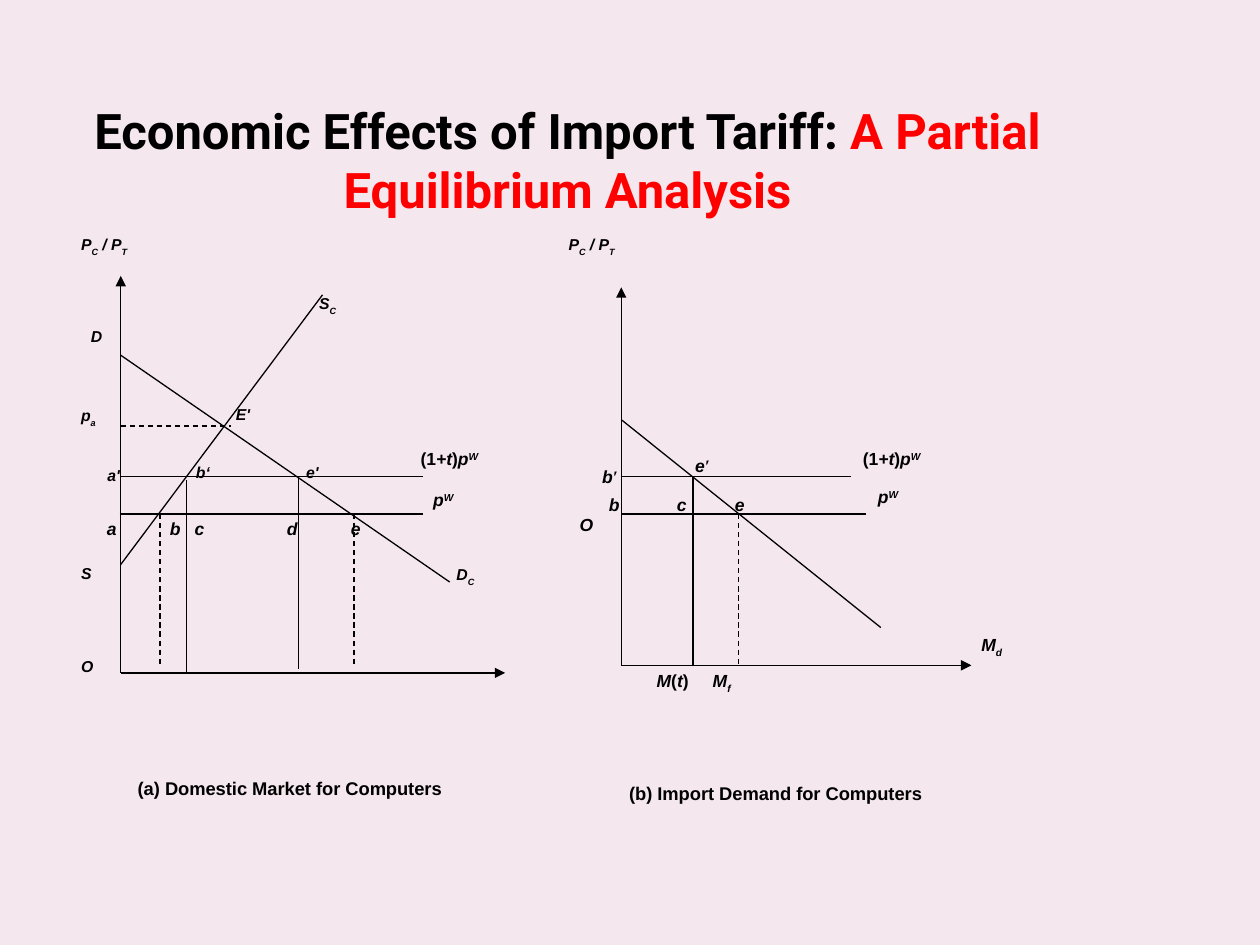
from pptx import Presentation
from pptx.dml.color import RGBColor
from pptx.enum import dml, shapes, text
from pptx.oxml import parse_xml
from pptx.oxml.ns import nsdecls, qn
from pptx.util import Pt

BLACK = RGBColor(0, 0, 0)
RED = RGBColor(0xFF, 0, 0)
PINK = RGBColor(0xF4, 0xE7, 0xED)

TITLE = [("Economic Effects of Import Tariff: ", BLACK),
         ("A Partial Equilibrium Analysis", RED)]

# Shared levels, in points: world price, price with tariff, the two axes
WORLD, TARIFF = 293.8, 272.2
LEFT, BASE = 69, 384.5
LEFT_B, BASE_B = 355, 380.2

# x1, y1, x2, y2, style
LINES = [
    # (a) domestic market
    (LEFT, BASE, LEFT, 157.7, "arrow"),
    (LEFT, BASE, 288.7, BASE, "arrow"),
    (LEFT, 203, 257, 332.6, ""),
    (LEFT, 322.6, 184.3, 168.5, ""),
    (LEFT, 243.4, 131.8, 243.4, "dash"),
    (68.4, TARIFF, 242, TARIFF, ""),
    (68.4, WORLD, 242, WORLD, ""),
    (106.6, 274.3, 106.6, BASE, ""),
    (170.6, TARIFF, 170.6, 382.3, ""),
    (91.4, WORLD, 91.4, BASE_B, "dash"),
    (202.3, WORLD, 202.3, BASE_B, "dash"),
    # (b) import demand
    (LEFT_B, BASE_B, LEFT_B, 164.2, "arrow"),
    (LEFT_B, BASE_B, 555.1, BASE_B, "arrow"),
    (LEFT_B, 239.8, 503.3, 358.6, ""),
    (LEFT_B, TARIFF, 486, TARIFF, ""),
    (LEFT_B, WORLD, 494.6, WORLD, ""),
    (396, TARIFF, 396, BASE_B, ""),
    (421.9, WORLD, 421.9, BASE_B, "dash"),
]

# Labels are lists of (text, style); i italic, r roman, _ sub, ^ super, ' prime
RATIO = [("P", "i"), ("C", "_"), (" / P", "i"), ("T", "_")]
PRICE = [("p", "i"), ("W", "^")]
TAXED = [("(1", "r"), ("+t", "i"), (")", "r"), *PRICE]

# left, top, width, content
SMALL = [
    (41.8, 131.8, 53.3, RATIO),
    (320.4, 131.8, 53.3, RATIO),
    (47.5, 184.3, 20, "D"),
    (41.8, 229.7, 22, [("p", "i"), ("a", "_")]),
    (130.3, 229, 22, "E'"),
    (177.8, 165.6, 27.4, [("S", "i"), ("C", "_")]),
    (256.3, 320.4, 32.4, [("D", "i"), ("C", "_")]),
    (56.9, 264.2, 27.4, "a'"),
    (107.5, 262.1, 22, "b‘"),
    (170.4, 262.1, 22, "e'"),
    (41.8, 319.7, 20, "S"),
    (41.8, 372.8, 20, "O"),
]
LARGE = [
    (240.5, 275.8, 36, PRICE),
    (233.3, 252.7, 56, TAXED),
    (494.6, 274.3, 36, PRICE),
    (486, 252.7, 56, TAXED),
    *[(x, 292.3, 25, name) for x, name in
      [(54, "a"), (90, "b"), (104.2, "c"), (156.8, "d"), (193.4, "e")]],
    *[(x, 278.6, 25, name) for x, name in
      [(340.8, "b"), (379.7, "c"), (412.8, "e")]],
    (324.2, 290.1, 26, "O"),
    (337, 262.8, 34.6, [("b", "i"), ("′", "'")]),
    (390.2, 256.3, 28, [("e", "i"), ("′", "'")]),
    (368.2, 379.4, 36, [("M", "i"), ("(", "r"), ("t", "i"), (")", "r")]),
    (400.2, 379.4, 32, [("M", "i"), ("f", "_")]),
    (553.7, 358.6, 34, [("M", "i"), ("d", "_")]),
]
CAPTIONS = [
    (74.2, 442.1, 196.6, [("(a) Domestic Market for Computers", "r")]),
    (355, 445, 189.4, [("(b) Import Demand for Computers", "r")]),
]


def add_line(group, x1, y1, x2, y2, style):
    line = group.shapes.add_connector(
        shapes.MSO_CONNECTOR.STRAIGHT, Pt(x1), Pt(y1), Pt(x2), Pt(y2))
    line.line.color.rgb = BLACK
    line.line.width = Pt(0.75)
    if style == "dash":
        line.line.dash_style = dml.MSO_LINE.DASH
    props = line._element.spPr
    if style == "arrow":
        props.find(qn("a:ln")).append(
            parse_xml(f'<a:tailEnd {nsdecls("a")} type="triangle"/>'))
    props.append(parse_xml(f'<a:effectLst {nsdecls("a")}/>'))


def add_label(group, left, top, width, parts, size, pad):
    """Place a bold label; pad is the side inset, twice the top one."""
    height = round(size * 1.2 + pad, 2)
    box = group.shapes.add_textbox(Pt(left), Pt(top), Pt(width), Pt(height))
    frame = box.text_frame
    frame.word_wrap = True
    frame.margin_left = frame.margin_right = Pt(pad)
    frame.margin_top = frame.margin_bottom = Pt(pad / 2)
    para = frame.paragraphs[0]
    font = para.font
    font.name, font.size, font.bold = "Arial", Pt(size), True
    font.color.rgb = BLACK
    if isinstance(parts, str):
        parts = [(parts, "i")]
    for words, style in parts:
        run = para.add_run()
        run.text = words
        run.font.italic = style != "r"
        if style == "'":
            run.font.name = "Times New Roman"
        elif style in "_^":
            shift = "-30000" if style == "_" else "30000"
            run._r.get_or_add_rPr().set("baseline", shift)


def add_title(slide):
    title = slide.shapes.title
    title.left, title.top = Pt(30.2), Pt(54)
    title.width, title.height = Pt(588.2), Pt(74.9)
    frame = title.text_frame
    frame.word_wrap = True
    frame.auto_size = text.MSO_AUTO_SIZE.NONE
    frame.vertical_anchor = text.MSO_ANCHOR.TOP
    para = frame.paragraphs[0]
    para.alignment = text.PP_ALIGN.CENTER
    font = para.font
    font.name, font.size, font.bold = "Roboto", Pt(28), True
    for words, color in TITLE:
        run = para.add_run()
        run.text = words
        run.font.color.rgb = color


def main():
    deck = Presentation()
    deck.slide_width, deck.slide_height = Pt(720), Pt(540)
    slide = deck.slides.add_slide(deck.slide_layouts[5])
    fill = slide.background.fill
    fill.solid()
    fill.fore_color.rgb = PINK
    add_title(slide)
    group = slide.shapes.add_group_shape()
    for line in LINES:
        add_line(group, *line)
    for labels, size, pad in [(SMALL, 9, 4.5), (LARGE, 10, 7.2),
                              (CAPTIONS, 10.5, 4.5)]:
        for label in labels:
            add_label(group, *label, size, pad)
    deck.save("out.pptx")


if __name__ == "__main__":
    main()
